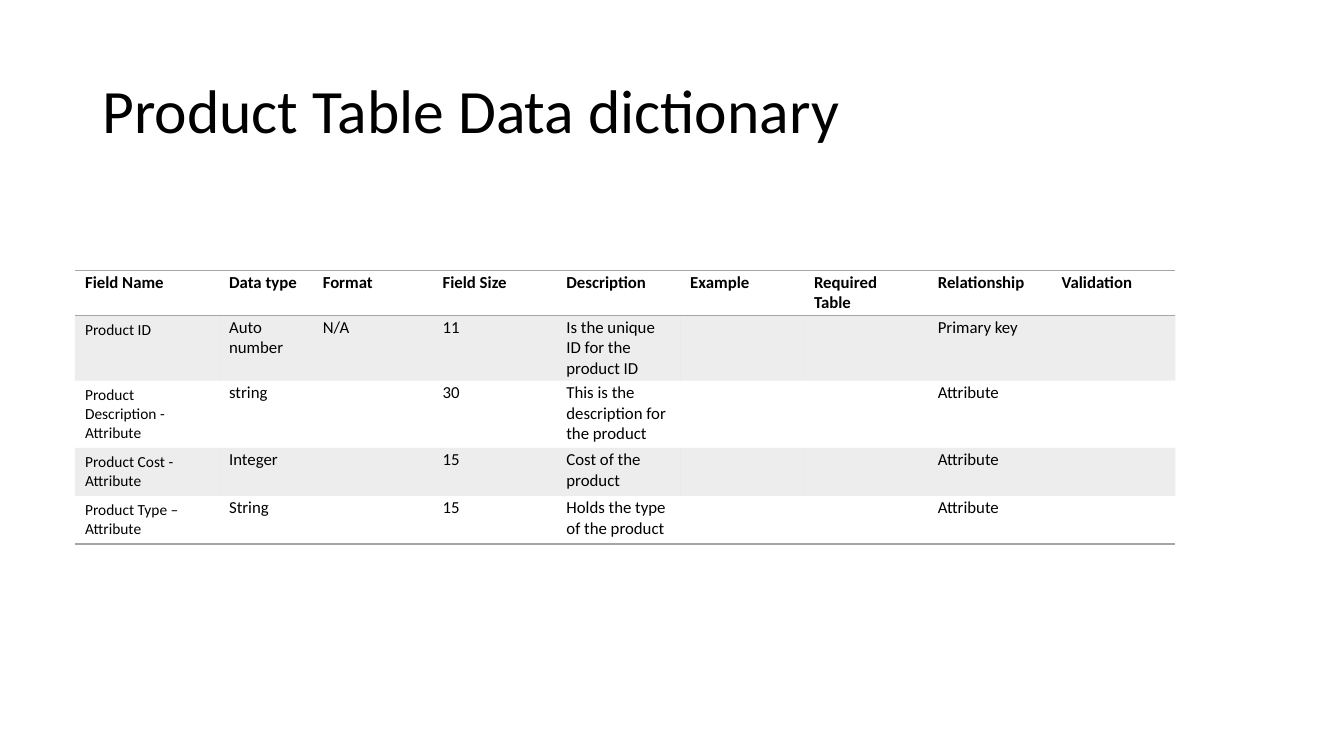
import lxml.etree
import pptx
import pptx.dml.color
import pptx.enum.text
import pptx.oxml.ns
import pptx.util

Cm = pptx.util.Cm
Pt = pptx.util.Pt
qn = pptx.oxml.ns.qn

BLACK = pptx.dml.color.RGBColor(0x00, 0x00, 0x00)
GRAY = pptx.dml.color.RGBColor(0xA5, 0xA5, 0xA5)
FONT = "Calibri"
PLAIN_TABLE_STYLE = "{2D5ABB26-0587-4C30-8999-92F81FD0307C}"

COLUMN_WIDTHS = [3.63, 2.36, 3.02] + [3.12] * 6
ROW_HEIGHTS = [1.04, 1.04, 1.55, 1.04, 1.04]
HEADINGS = ["Field Name ", "Data type ", "Format  ", "Field Size ", "Description ",
            "Example ", "Required Table ", "Relationship ", "Validation "]
FIELDS = [
    ["Product ID", "Auto number", "N/A", "11",
     "Is the unique ID for the product ID", "", "", "Primary key", ""],
    ["Product Description - Attribute", "string", "", "30",
     "This is the description for the product", "", "", "Attribute", ""],
    ["Product Cost - Attribute", "Integer", "", "15",
     "Cost of the product", "", "", "Attribute", ""],
    ["Product Type – Attribute", "String", "", "15",
     "Holds the type of the product", "", "", "Attribute", ""],
]


def write_text(frame, text, size, bold=False, line_spacing=None):
    para = frame.paragraphs[0]
    para.alignment = pptx.enum.text.PP_ALIGN.LEFT
    if line_spacing:
        para.line_spacing = line_spacing
    span = para.add_run()
    span.text = text
    span.font.name = FONT
    span.font.size = Pt(size)
    span.font.bold = bold
    span.font.color.rgb = BLACK


def shade_cell(cell):
    cell.fill.solid()
    cell.fill.fore_color.rgb = GRAY
    color = cell._tc.tcPr.find(".//" + qn("a:srgbClr"))
    lxml.etree.SubElement(color, qn("a:alpha"), val="20000")


def rule_cell(cell, sides):
    properties = cell._tc.get_or_add_tcPr()
    for index, side in enumerate(sides):
        line = lxml.etree.Element(qn("a:ln" + side), w=str(Pt(1)))
        fill = lxml.etree.SubElement(line, qn("a:solidFill"))
        lxml.etree.SubElement(fill, qn("a:srgbClr"), val=str(GRAY))
        properties.insert(index, line)


def fill_title(page, left, top, width, height):
    title = page.shapes.title
    title.left, title.top, title.width, title.height = left, top, width, height
    frame = title.text_frame
    frame.word_wrap = True
    frame.auto_size = pptx.enum.text.MSO_AUTO_SIZE.NONE
    frame.vertical_anchor = pptx.enum.text.MSO_ANCHOR.MIDDLE
    write_text(frame, "Product Table Data dictionary", 44, line_spacing=0.9)


def add_dictionary(page, left, top, width, height):
    rows = [HEADINGS] + FIELDS
    box = page.shapes.add_table(len(rows), len(HEADINGS), left, top, width, height)
    table = box.table
    table.first_row = True
    table.horz_banding = True
    box.element.find(".//" + qn("a:tableStyleId")).text = PLAIN_TABLE_STYLE
    for column, column_width in zip(table.columns, COLUMN_WIDTHS):
        column.width = Cm(column_width)
    for row, row_height in zip(table.rows, ROW_HEIGHTS):
        row.height = Cm(row_height)
    box.height = height

    row_sides = {0: "TB", len(rows) - 1: "B"}
    for row_index, texts in enumerate(rows):
        for column_index, text in enumerate(texts):
            cell = table.cell(row_index, column_index)
            is_field_name = row_index > 0 and column_index == 0
            if text:
                write_text(cell.text_frame, text, 11 if is_field_name else 12,
                           bold=row_index == 0)
                if not is_field_name:
                    cell.margin_top = cell.margin_bottom = Cm(0.05)
            if row_index % 2:
                shade_cell(cell)
            else:
                cell.fill.background()
            rule_cell(cell, row_sides.get(row_index, ""))


def main():
    deck = pptx.Presentation()
    deck.slide_width = Cm(33.87)
    deck.slide_height = Cm(19.05)
    page = deck.slides.add_slide(deck.slide_layouts[5])
    fill_title(page, Cm(2.33), Cm(1.01), Cm(29.21), Cm(3.68))
    add_dictionary(page, Cm(1.89), Cm(6.81), Cm(27.71), Cm(6.78))
    deck.save("out.pptx")


if __name__ == "__main__":
    main()
